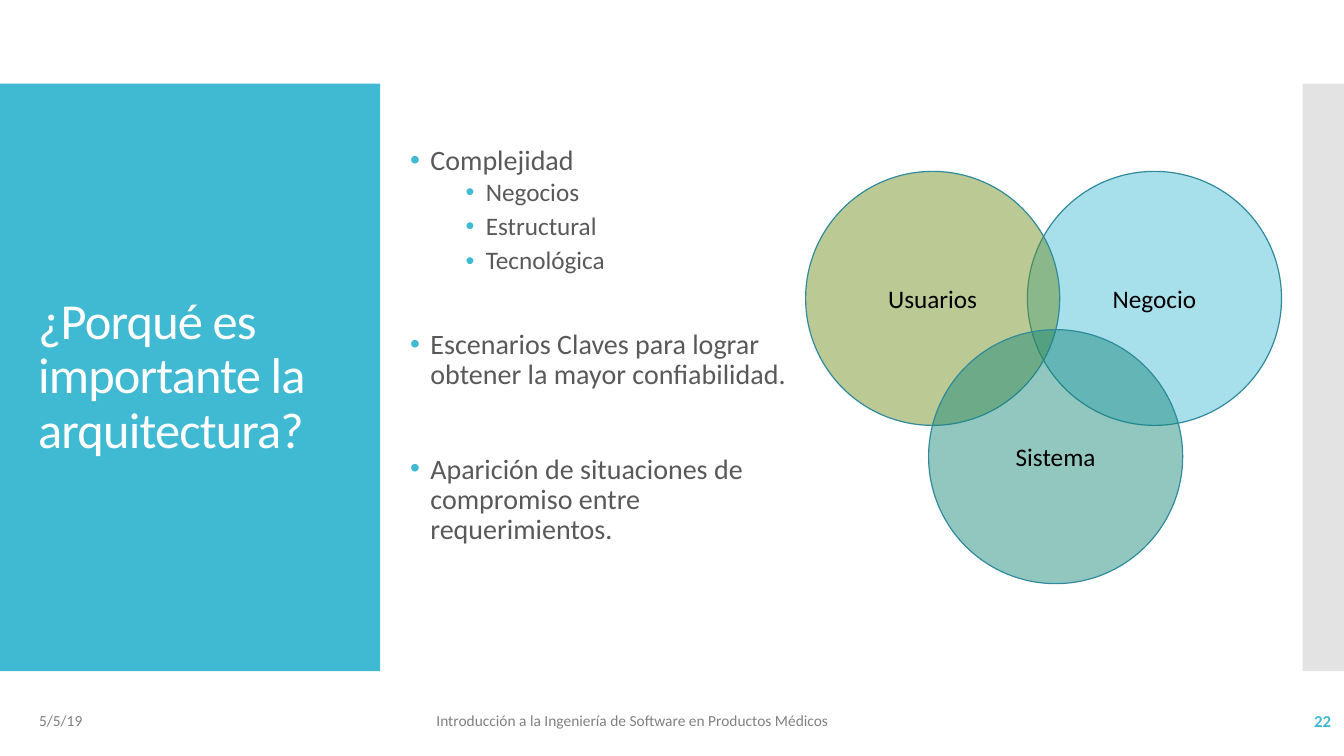
from dataclasses import dataclass
from typing import Optional

from lxml.etree import SubElement
from pptx import Presentation
from pptx.dml.color import RGBColor
from pptx.enum.shapes import MSO_SHAPE
from pptx.enum.text import MSO_ANCHOR, PP_ALIGN
from pptx.oxml.ns import qn
from pptx.util import Inches, Pt


@dataclass(frozen=True)
class Theme:
    font: str = "Calibri"
    teal: str = "40BAD2"
    olive: str = "6C8C1A"
    green: str = "138677"
    edge: str = "2F8A9B"
    side: str = "C8C8C8"
    body: str = "595959"
    muted: str = "808080"
    white: str = "FFFFFF"
    black: str = "000000"
    title_size: float = 36
    main_size: float = 20
    sub_size: float = 18
    page_size: float = 12
    foot_size: float = 11


THEME = Theme()


@dataclass(frozen=True)
class Box:
    left: float
    top: float
    width: float
    height: float

    def lengths(self) -> list:
        return [Inches(v) for v in (self.left, self.top, self.width, self.height)]


@dataclass(frozen=True)
class Label:
    text: str
    box: Box
    size: float
    color: str
    align: PP_ALIGN = PP_ALIGN.LEFT
    bold: bool = False


@dataclass(frozen=True)
class Point:
    text: str
    size: float
    indent: float
    before: float
    after: float = 0


@dataclass(frozen=True)
class Circle:
    text: str
    left: float
    top: float
    color: str


def set_font(para, size: float, color: str, bold: bool = False) -> None:
    for run in para.runs:
        font = run.font
        font.name, font.size, font.bold = THEME.font, Pt(size), bold
        font.color.rgb = RGBColor.from_string(color)


def add_label(slide, label: Label):
    frame = slide.shapes.add_textbox(*label.box.lengths()).text_frame
    frame.word_wrap = True
    frame.vertical_anchor = MSO_ANCHOR.MIDDLE
    frame.text = label.text
    para = frame.paragraphs[0]
    para.alignment = label.align
    set_font(para, label.size, label.color, label.bold)
    return para


def add_solid(slide, kind: MSO_SHAPE, box: Box, color: str,
              alpha: int = 100, edge: Optional[str] = None):
    shape = slide.shapes.add_shape(kind, *box.lengths())
    shape.shadow.inherit = False
    shape.fill.solid()
    shape.fill.fore_color.rgb = RGBColor.from_string(color)
    if alpha < 100:
        fill = shape.fill._xPr.find(qn("a:solidFill"))
        SubElement(fill[0], qn("a:alpha"), val=str(alpha * 1000))
    if edge:
        shape.line.color.rgb = RGBColor.from_string(edge)
        shape.line.width = Pt(0.85)
    else:
        shape.line.fill.background()
    return shape


def add_points(slide, box: Box, points: list[Point]) -> None:
    frame = slide.shapes.add_textbox(*box.lengths()).text_frame
    frame.word_wrap = True
    frame.text = "\n".join(point.text for point in points)
    for para, point in zip(frame.paragraphs, points):
        props = para._p.get_or_add_pPr()
        props.set("marL", str(Inches(point.indent)))
        props.set("indent", str(Inches(-0.2)))
        tint = SubElement(props, qn("a:buClr"))
        SubElement(tint, qn("a:srgbClr"), val=THEME.teal)
        SubElement(props, qn("a:buFont"), typeface="Arial")
        SubElement(props, qn("a:buChar"), char="•")
        para.line_spacing = 0.9
        para.space_before = Pt(point.before)
        para.space_after = Pt(point.after)
        set_font(para, point.size, THEME.body)


def add_circle(slide, circle: Circle) -> None:
    box = Box(circle.left, circle.top, 2.52, 2.52)
    shape = add_solid(slide, MSO_SHAPE.OVAL, box, circle.color, 46, THEME.edge)
    frame = shape.text_frame
    frame.vertical_anchor = MSO_ANCHOR.MIDDLE
    frame.text = circle.text
    frame.paragraphs[0].alignment = PP_ALIGN.CENTER
    set_font(frame.paragraphs[0], THEME.sub_size, THEME.black)


TITLE = Label("¿Porqué es importante la arquitectura?",
              Box(0.28, 1.23, 3.22, 5.03), THEME.title_size, THEME.white)

POINTS = [
    Point("Complejidad", THEME.main_size, 0.2, 0),
    *(Point(text, THEME.sub_size, 0.75, 2.5, 2.5)
      for text in ("Negocios", "Estructural", "Tecnológica")),
    Point("Escenarios Claves para lograr obtener la mayor confiabilidad.",
          THEME.main_size, 0.2, 36.5),
    Point("Aparición de situaciones de compromiso entre requerimientos.",
          THEME.main_size, 0.2, 46),
]

CIRCLES = [
    Circle("Negocio", 10.19, 1.7, THEME.teal),
    Circle("Usuarios", 7.99, 1.7, THEME.olive),
    Circle("Sistema", 9.21, 3.27, THEME.green),
]

FOOTER = [
    Label("5/5/19", Box(0.29, 6.95, 3, 0.4), THEME.foot_size, THEME.muted),
    Label("Introducción a la Ingeniería de Software en Productos Médicos",
          Box(4.23, 6.95, 6.46, 0.4), THEME.foot_size, THEME.muted),
    Label("22", Box(11.63, 6.95, 1.67, 0.4), THEME.page_size, THEME.teal,
          PP_ALIGN.RIGHT, True),
]


def main() -> None:
    deck = Presentation()
    deck.slide_width, deck.slide_height = Inches(13.33), Inches(7.5)
    slide = deck.slides.add_slide(deck.slide_layouts[6])

    # Side panels
    add_solid(slide, MSO_SHAPE.RECTANGLE, Box(0, 0.83, 3.77, 5.83), THEME.teal)
    add_solid(slide, MSO_SHAPE.RECTANGLE, Box(12.92, 0.83, 0.41, 5.83), THEME.side, 50)

    # Title
    para = add_label(slide, TITLE)
    para.line_spacing = 0.9
    para.runs[0].font._element.set("spc", "-60")

    # Bullet list
    add_points(slide, Box(3.97, 1.4, 4.02, 4.7), POINTS)

    # Overlapping circles
    for circle in CIRCLES:
        add_circle(slide, circle)

    # Footer
    for label in FOOTER:
        add_label(slide, label)

    deck.save("out.pptx")


if __name__ == "__main__":
    main()
